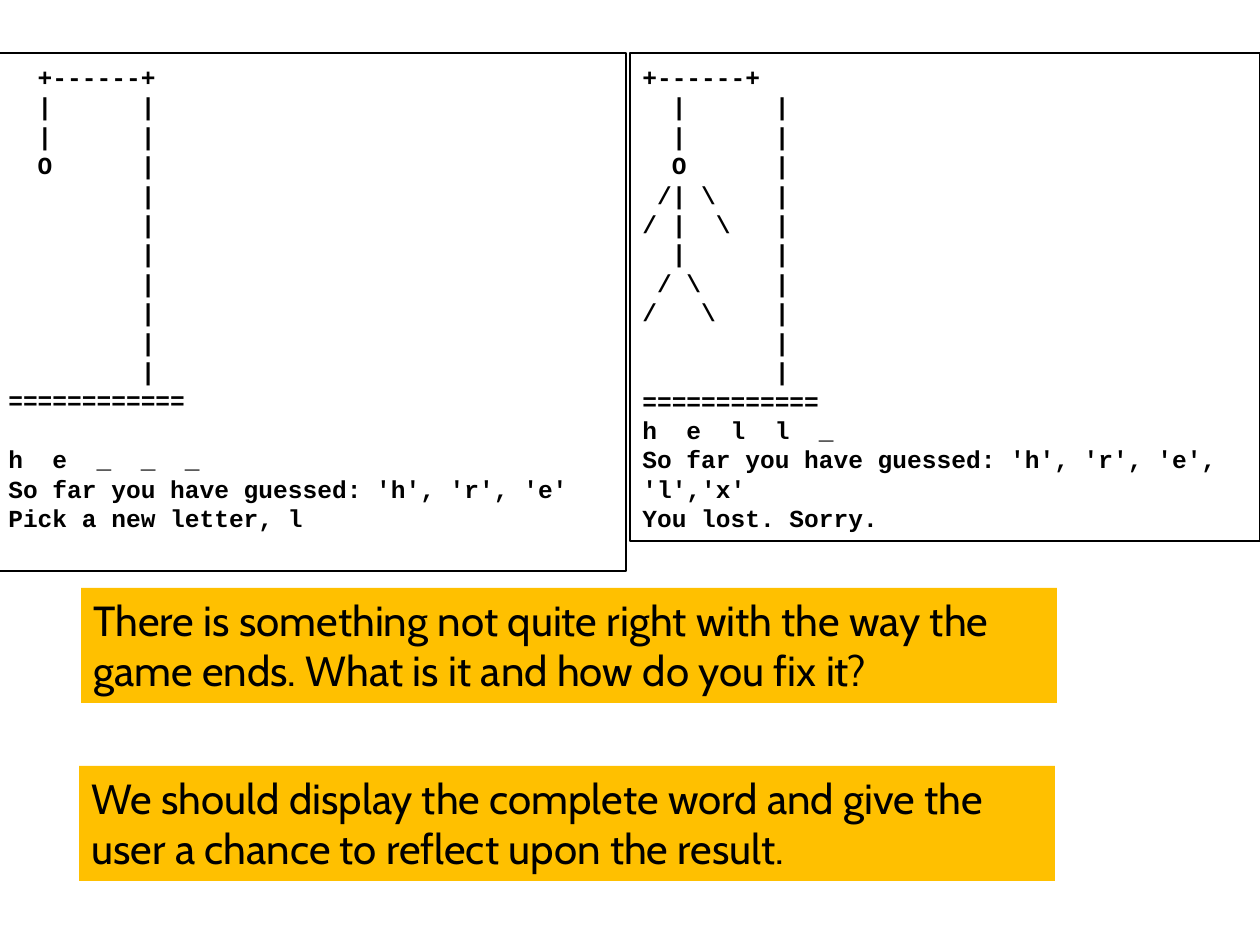
from pptx import Presentation
from pptx.dml.color import RGBColor
from pptx.enum.shapes import MSO_SHAPE
from pptx.enum.text import MSO_ANCHOR, PP_ALIGN
from pptx.util import Pt

PX = 914400 // 126
LINE_PITCH = Pt(16.8)
COLORS = {"ink": "000000", "gold": "FFC000"}


def color(name):
    return RGBColor.from_string(COLORS[name])


def add_text_panel(left, top, width, height, lines, font_name, size):
    panel = slide.shapes.add_shape(
        MSO_SHAPE.RECTANGLE, left * PX, top * PX, width * PX, height * PX)
    panel.shadow.inherit = False
    frame = panel.text_frame
    frame.word_wrap = True
    frame.vertical_anchor = MSO_ANCHOR.TOP
    for index, line in enumerate(lines):
        para = frame.paragraphs[0] if index == 0 else frame.add_paragraph()
        para.text = line
        para.alignment = PP_ALIGN.LEFT
        para.font.name = font_name
        para.font.size = Pt(size)
        para.font.color.rgb = color("ink")
    return panel


deck = Presentation()
deck.slide_width = 1260 * PX
deck.slide_height = 945 * PX
slide = deck.slides.add_slide(deck.slide_layouts[6])

# Each game: left, height, beam, figure rows beside the post, messages, gap above messages
games = [
    (-4, 518, "  +------+",
     ["  |", "  |", "  O", "", "", "", "", "", "", ""],
     ["h  e  _  _  _",
      "So far you have guessed: 'h', 'r', 'e'",
      "Pick a new letter, l"], LINE_PITCH),
    (630, 488, "+------+",
     ["  |", "  |", "  O", " /| \\", "/ |  \\", "  |", " / \\", "/   \\", "", ""],
     ["h  e  l  l  _",
      "So far you have guessed: 'h', 'r', 'e', 'l','x'",
      "You lost. Sorry."], Pt(0)),
]
for left, height, beam, figure, messages, gap in games:
    gallows = [beam] + [f"{row:<9}|" for row in figure] + ["=" * 12]
    screen = add_text_panel(left, 53, 630, height, gallows + messages, "Courier New", 14)
    screen.fill.background()
    screen.line.color.rgb = color("ink")
    screen.line.width = Pt(0.75)
    screen.text_frame.margin_top = 9 * PX
    for para in screen.text_frame.paragraphs:
        para.font.bold = True
        para.line_spacing = LINE_PITCH
    screen.text_frame.paragraphs[len(gallows)].space_before = gap

notes = [
    (81, 588, "There is something not quite right with the way the game ends. "
              "What is it and how do you fix it?"),
    (79, 766, "We should display the complete word and give the user a chance "
              "to reflect upon the result."),
]
for left, top, text in notes:
    note = add_text_panel(left, top, 976, 115, [text], "Cabin", 24)
    note.fill.solid()
    note.fill.fore_color.rgb = color("gold")
    note.line.fill.background()

deck.save("out.pptx")
